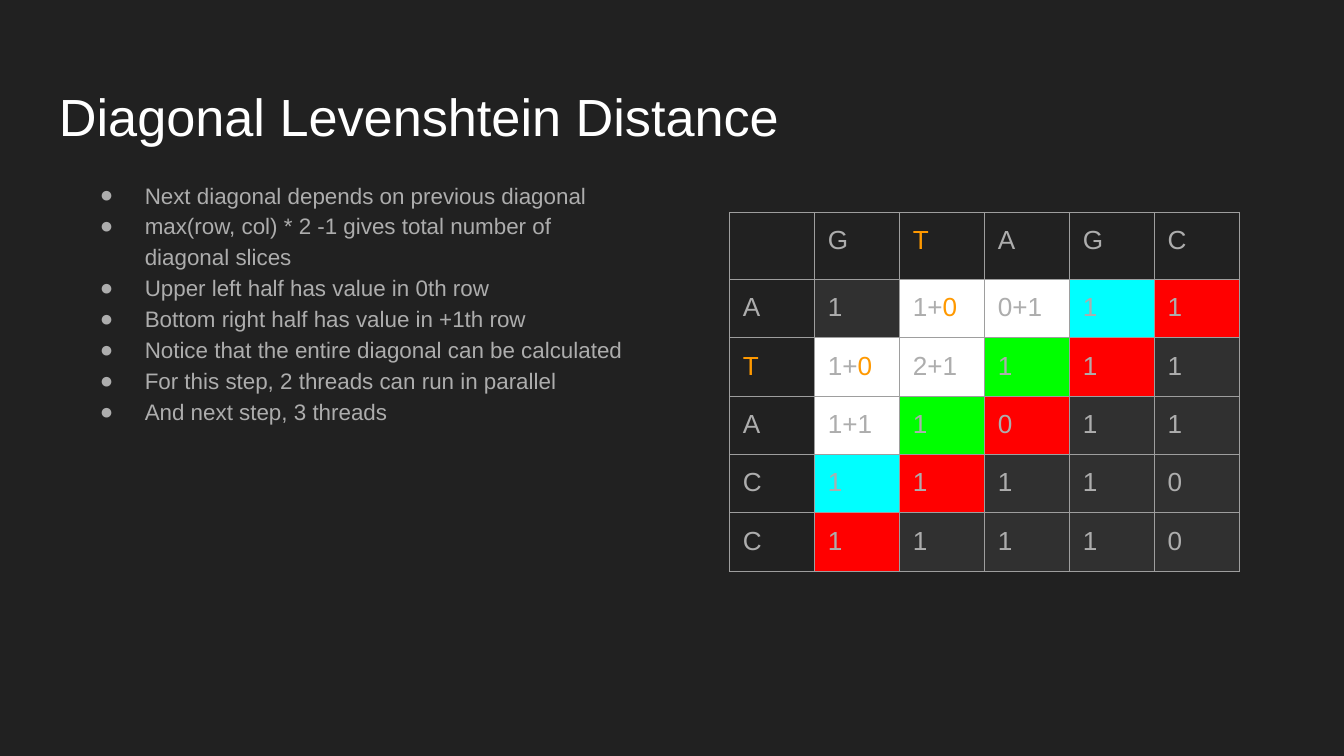
from lxml import etree
from pptx import Presentation
from pptx import util as u
from pptx.dml.color import RGBColor
from pptx.enum import text
from pptx.oxml import ns

HUES = {
    "back": "212121", "title": "FFFFFF", "body": "ADADAD", "mark": "FF9900",
    "line": "9E9E9E", "dark": "303030", "white": "FFFFFF",
    "cyan": "00FFFF", "green": "00FF00", "red": "FF0000",
}
POINTS = [
    "Next diagonal depends on previous diagonal",
    "max(row, col) * 2 -1 gives total number of diagonal slices",
    "Upper left half has value in 0th row",
    "Bottom right half has value in +1th row",
    "Notice that the entire diagonal can be calculated",
    "For this step, 2 threads can run in parallel",
    "And next step, 3 threads",
]
GRID = [
    ["", "G", "T", "A", "G", "C"],
    ["A", "1", "1+0", "0+1", "1", "1"],
    ["T", "1+0", "2+1", "1", "1", "1"],
    ["A", "1+1", "1", "0", "1", "1"],
    ["C", "1", "1", "1", "1", "0"],
    ["C", "1", "1", "1", "1", "0"],
]


def shade(row, col):
    if row == 0 or col == 0:
        return None
    step = row + col
    if step == 5:
        return "cyan" if 1 in (row, col) else "green"
    return {3: "white", 4: "white", 6: "red"}.get(step, "dark")


def parts(word):
    if word == "T":
        return [(word, "mark")]
    if word == "1+0":
        return [("1+", "body"), ("0", "mark")]
    return [(word, "body")]


class Deck:
    face = "Arial"
    inset = u.Pt(7.2)

    def __init__(self, wide, high):
        self.prs = Presentation()
        self.prs.slide_width, self.prs.slide_height = u.Pt(wide), u.Pt(high)
        self.slide = self.prs.slides.add_slide(self.prs.slide_layouts[6])
        self.paint(self.slide.background.fill, "back")

    def paint(self, fill, hue):
        fill.solid()
        fill.fore_color.rgb = RGBColor.from_string(HUES[hue])

    def pad(self, item, **more):
        sides = ("left", "right", "top", "bottom")
        style = {f"margin_{side}": self.inset for side in sides}
        for name, value in {**style, **more}.items():
            setattr(item, name, value)

    def label(self, para, word, size, hue):
        run = para.add_run()
        run.text = word
        for name, value in {"name": self.face, "size": u.Pt(size)}.items():
            setattr(run.font, name, value)
        run.font.color.rgb = RGBColor.from_string(HUES[hue])

    def box(self, area, **more):
        frame = self.slide.shapes.add_textbox(*map(u.Pt, area)).text_frame
        top = text.MSO_ANCHOR.TOP
        self.pad(frame, word_wrap=True, vertical_anchor=top, **more)
        return frame

    def title(self, area, word):
        frame = self.box(area, margin_top=u.Pt(9.9))
        self.label(frame.paragraphs[0], word, 28, "title")

    def bullets(self, area, lines):
        frame = self.box(area)
        for spot, line in enumerate(lines):
            para = frame.add_paragraph() if spot else frame.paragraphs[0]
            para.line_spacing = 1.15
            props = para._p.get_or_add_pPr()
            for name, value in {"marL": 36, "indent": -24}.items():
                props.set(name, str(int(u.Pt(value))))
            tint = etree.SubElement(props, ns.qn("a:buClr"))
            etree.SubElement(tint, ns.qn("a:srgbClr"), val=HUES["body"])
            etree.SubElement(props, ns.qn("a:buFont"), typeface=self.face)
            etree.SubElement(props, ns.qn("a:buChar"), char="●")
            self.label(para, line, 12, "body")

    def edge(self, cell):
        props = cell._tc.get_or_add_tcPr()
        for spot, side in enumerate(("lnL", "lnR", "lnT", "lnB")):
            line = etree.Element(ns.qn(f"a:{side}"), w=str(int(u.Pt(0.75))))
            fill = etree.SubElement(line, ns.qn("a:solidFill"))
            etree.SubElement(fill, ns.qn("a:srgbClr"), val=HUES["line"])
            props.insert(spot, line)

    def table(self, left, top, wide, high, grid):
        rows, cols = len(grid), len(grid[0])
        area = map(u.Pt, (left, top, wide * cols, high * rows))
        table = self.slide.shapes.add_table(rows, cols, *area).table
        for name in ("first_row", "horz_banding"):
            setattr(table, name, False)
        for row, words in enumerate(grid):
            for col, word in enumerate(words):
                cell = table.cell(row, col)
                self.pad(cell)
                hue = shade(row, col)
                if hue:
                    self.paint(cell.fill, hue)
                else:
                    cell.fill.background()
                self.edge(cell)
                if word:
                    para = cell.text_frame.paragraphs[0]
                    for part, tone in parts(word):
                        self.label(para, part, 14, tone)


def main():
    deck = Deck(720, 405)
    deck.title((24.5, 35, 671, 45), "Diagonal Levenshtein Distance")
    deck.bullets((34.5, 88, 308, 287), POINTS)
    deck.table(390.75, 113.75, 45.54, 30, GRID)
    deck.prs.save("out.pptx")


if __name__ == "__main__":
    main()
